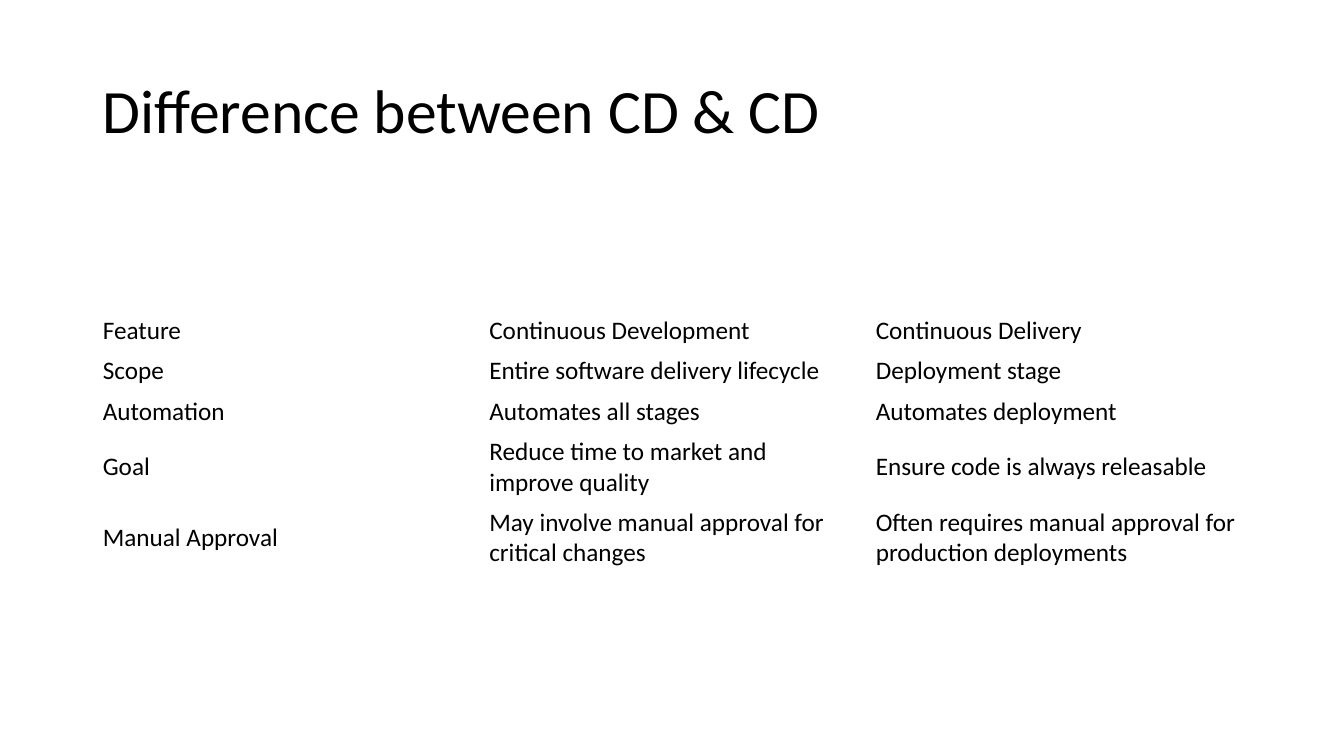
from pptx import Presentation
from pptx import util as u
from pptx.dml import color
from pptx.enum import text

FONT = "Calibri"
HUES = {"ink": "000000", "page": "FFFFFF"}
ROWS = [
    ("Feature", "Continuous Development", "Continuous Delivery"),
    ("Scope", "Entire software delivery lifecycle", "Deployment stage"),
    ("Automation", "Automates all stages", "Automates deployment"),
    ("Goal", "Reduce time to market and improve quality",
     "Ensure code is always releasable"),
    ("Manual Approval", "May involve manual approval for critical changes",
     "Often requires manual approval for production deployments"),
]
HIGH = [0.4, 0.4, 0.4, 0.7, 0.7]


def style(frame, size):
    """Format every run of a text frame."""
    for para in frame.paragraphs:
        for run in para.runs:
            run.font.name = FONT
            run.font.size = u.Pt(size)
            run.font.bold = False
            run.font.color.rgb = color.RGBColor.from_string(HUES["ink"])


def add_title(slide, left, top, width, height):
    """Place the title in the given box."""
    box = slide.shapes.add_textbox(*map(u.Inches, (left, top, width, height)))
    frame = box.text_frame
    frame.word_wrap = True
    frame.vertical_anchor = text.MSO_ANCHOR.MIDDLE
    frame.text = "Difference between CD & CD"
    frame.paragraphs[0].line_spacing = 0.9
    style(frame, 44)


def add_grid(slide, left, top, width):
    """Place the comparison table with equal columns."""
    size = map(u.Inches, (left, top, width, sum(HIGH)))
    grid = slide.shapes.add_table(len(ROWS), len(ROWS[0]), *size).table
    grid.first_row = False
    grid.horz_banding = False
    for row, high in zip(grid.rows, HIGH):
        row.height = u.Inches(high)
    for r, row in enumerate(ROWS):
        for c, words in enumerate(row):
            cell = grid.cell(r, c)
            cell.text_frame.text = words
            cell.vertical_anchor = text.MSO_ANCHOR.MIDDLE
            cell.fill.solid()
            cell.fill.fore_color.rgb = color.RGBColor.from_string(HUES["page"])
            style(cell.text_frame, 18)


def main():
    """Build and save the slide."""
    deck = Presentation()
    deck.slide_width = u.Inches(13.33)
    deck.slide_height = u.Inches(7.5)
    slide = deck.slides.add_slide(deck.slide_layouts[6])
    add_title(slide, 0.92, 0.4, 11.5, 1.45)
    add_grid(slide, 0.92, 3.08, 11.5)
    deck.save("out.pptx")


if __name__ == "__main__":
    main()
